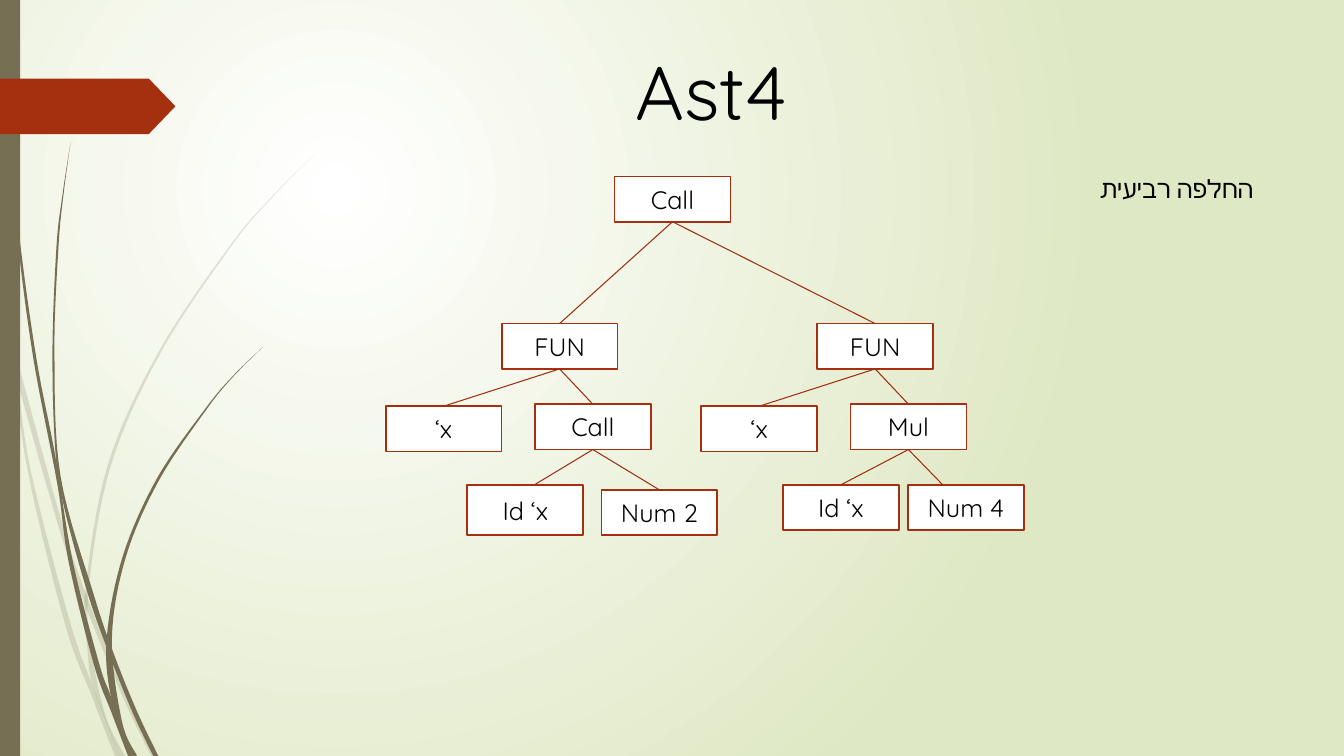
from lxml.etree import SubElement
from pptx import Presentation
from pptx.dml.color import RGBColor
from pptx.enum.shapes import MSO_CONNECTOR as Link, MSO_SHAPE as Shape
from pptx.enum.text import MSO_ANCHOR as Anchor, MSO_AUTO_SIZE as Fit, PP_ALIGN as Align
from pptx.oxml.ns import qn
from pptx.util import Inches, Pt

OLIVE, RUST, DARK_RUST = "766F54", "A53010", "9E2E0F"
WHITE, BLACK, SAGE = "FFFFFF", "000000", "DFE8C4"

deck = Presentation()
deck.slide_width, deck.slide_height = Inches(13.33), Inches(7.5)
column, row = deck.slide_width / 13.33, deck.slide_height / 7.5
page = deck.slides.add_slide(deck.slide_layouts[6])
shapes = page.shapes


def grid(*lengths):
    return [round(length * unit) for length, unit in zip(lengths, (column, row) * 2)]


def color(value):
    return RGBColor.from_string(value)


backdrop = page.background.fill
backdrop.gradient()
for stop, position, tint in zip(backdrop.gradient_stops, (0, 1), (WHITE, SAGE)):
    stop.position, stop.color.rgb = position, color(tint)
linear = next(page.element.iter(qn("a:lin")))
gradient = linear.getparent()
gradient.remove(linear)
circle = SubElement(gradient, qn("a:path"), {"path": "circle"})
SubElement(circle, qn("a:fillToRect"), {"l": "50000", "t": "50000", "r": "100000", "b": "100000"})

blades = [
    (20, [(0, 2.99), (0.11, 3.5), (0.28, 4.7), (0.65, 6.21), (0.92, 6.93), (1.14, 7.5)],
         [(0, 2.82), (0.09, 3.22), (0.17, 3.76), (0.31, 4.69), (0.7, 6.19), (0.93, 6.83), (1.19, 7.5)]),
    (20, [(0.14, 3.45), (0.17, 3.76), (0.58, 5.22), (0.84, 5.99), (1.23, 6.94), (1.5, 7.5)],
         [(0.14, 3.45), (0.62, 5.2), (0.92, 6.07), (1.27, 6.92), (1.55, 7.5)]),
    (20, [(3.12, 1.53), (2.68, 1.97), (2.28, 2.44), (1.58, 3.48), (1.07, 4.61), (0.85, 5.84),
          (0.87, 6.46), (0.93, 6.83), (1.19, 7.5)],
         [(3.12, 1.53), (2.68, 1.98), (2.29, 2.45), (1.6, 3.49), (1.1, 4.62), (0.88, 5.84),
          (0.91, 6.46), (1.05, 7.11), (1.24, 7.5)]),
    (100, [(0.03, 0), (0.04, 0.48), (0.07, 1.1), (0.17, 2.33), (0.33, 3.55), (0.57, 4.81),
           (0.68, 5.57), (0.93, 6.59), (1.11, 7.08), (1.27, 7.5)],
          [(0.04, 0), (0.05, 0.48), (0.08, 1.09), (0.19, 2.32), (0.36, 3.55), (0.55, 4.53),
           (0.72, 5.56), (0.98, 6.57), (1.1, 6.91), (1.31, 7.5)]),
    (100, [(0.7, 1.41), (0.62, 1.93), (0.56, 2.45), (0.52, 3.49), (0.55, 4.49), (0.64, 5.05),
           (0.88, 5.92), (1.11, 6.56), (1.32, 7.08), (1.52, 7.5)],
          [(0.7, 1.41), (0.63, 1.93), (0.58, 2.45), (0.54, 3.49), (0.6, 4.72), (0.93, 5.9),
           (1.13, 6.49), (1.36, 7.06), (1.57, 7.5)]),
    (100, [(2.61, 3.44), (2.31, 3.73), (2.04, 4.05), (1.56, 4.74), (1.22, 5.51), (1.06, 6.31),
           (1.1, 6.91), (1.3, 7.5)],
          [(2.61, 3.44), (2.31, 3.74), (2.05, 4.06), (1.58, 4.76), (1.25, 5.52), (1.11, 6.33),
           (1.21, 7.16), (1.36, 7.5)]),
]
decorations = []
for opacity, *edges in blades:
    curves = []
    for edge in edges:
        guides = [edge[0], *edge, edge[-1]]
        curve = [grid(*edge[0])]
        for before, start, end, after in zip(guides, guides[1:], guides[2:], guides[3:]):
            for step in range(1, 9):
                t = step / 8
                curve.append(grid(*(
                    b + t / 2 * (c - a + t * (2 * a - 5 * b + 4 * c - d + t * (3 * b - a - 3 * c + d)))
                    for a, b, c, d in zip(before, start, end, after))))
        curves.append(curve)
    outline = curves[0] + curves[1][::-1]
    builder = shapes.build_freeform(*outline[0])
    builder.add_line_segments(outline[1:], close=True)
    decorations.append((builder.convert_to_shape(), OLIVE, opacity))

decorations.append((shapes.add_shape(Shape.RECTANGLE, *grid(0, 0, 0.2, 7.5)), OLIVE, 100))
arrow = shapes.add_shape(Shape.PENTAGON, *grid(0, 0.78, 1.74, 0.55))
arrow.adjustments[0] = 0.48
decorations.append((arrow, RUST, 100))

for decoration, tint, opacity in decorations:
    decoration.shadow.inherit = False
    decoration.line.fill.background()
    decoration.fill.solid()
    decoration.fill.fore_color.rgb = color(tint)
    if opacity < 100:
        tone = next(decoration.fill._xPr.iter(qn("a:srgbClr")))
        SubElement(tone, qn("a:alpha"), {"val": str(opacity * 1000)})

node_width, node_height = 1.15, 0.45
nodes = [("Call", 6.67, 1.75, node_height)]
links = [(6.67, 2.2, 5.55, 3.21), (6.67, 2.2, 8.68, 3.21)]
subtrees = [
    (5.55, "Call", ("Id ‘x", -0.34, 4.81, 0.5, -0.25), ("Num 2", 0.99, 4.86, 0.45, 0.99)),
    (8.68, "Mul", ("Id ‘x", -0.34, 4.81, 0.45, -0.34), ("Num 4", 0.9, 4.81, 0.45, 0.67)),
]
for center, operator, *leaves in subtrees:
    nodes += [("FUN", center, 3.21, node_height), ("‘x", center - 1.15, 4.03, node_height),
              (operator, center + 0.33, 4.01, node_height)]
    links += [(center, 3.66, center - 1.15, 4.03), (center, 3.66, center + 0.33, 4.01)]
    for label, offset, top, height, link_offset in leaves:
        nodes.append((label, center + offset, top, height))
        links.append((center + 0.33, 4.46, center + link_offset, top))

texts = []
for label, center, top, height in nodes:
    box = shapes.add_shape(Shape.RECTANGLE, *grid(center - node_width / 2, top, node_width, height))
    box.shadow.inherit = False
    box.fill.solid()
    box.fill.fore_color.rgb = color(WHITE)
    box.line.color.rgb = color(RUST)
    box.line.width = Pt(1.25)
    box.text_frame.vertical_anchor = Anchor.MIDDLE
    texts.append((box, label, 18, Align.CENTER))

for ends in links:
    link = shapes.add_connector(Link.STRAIGHT, *grid(*ends))
    link.line.color.rgb = color(DARK_RUST)
    link.line.width = Pt(0.75)
    SubElement(link.element.spPr, qn("a:effectLst"))

title = shapes.add_textbox(*grid(6.19, 0.4, 1.73, 1.01))
title.text_frame.word_wrap = False
caption = shapes.add_textbox(*grid(10.59, 1.67, 1.94, 0.4))
caption.text_frame.word_wrap = True
caption.text_frame.paragraphs[0]._p.get_or_add_pPr().set("rtl", "1")
for box in (title, caption):
    box.text_frame.auto_size = Fit.SHAPE_TO_FIT_TEXT
texts += [(title, "Ast4", 54, Align.CENTER), (caption, "החלפה רביעית", 18, Align.RIGHT)]

for box, label, size, alignment in texts:
    para = box.text_frame.paragraphs[0]
    para.alignment = alignment
    span = para.add_run()
    span.text = label
    span.font.name, span.font.size = "Quicksand", Pt(size)
    span.font.color.rgb = color(BLACK)

deck.save("out.pptx")
